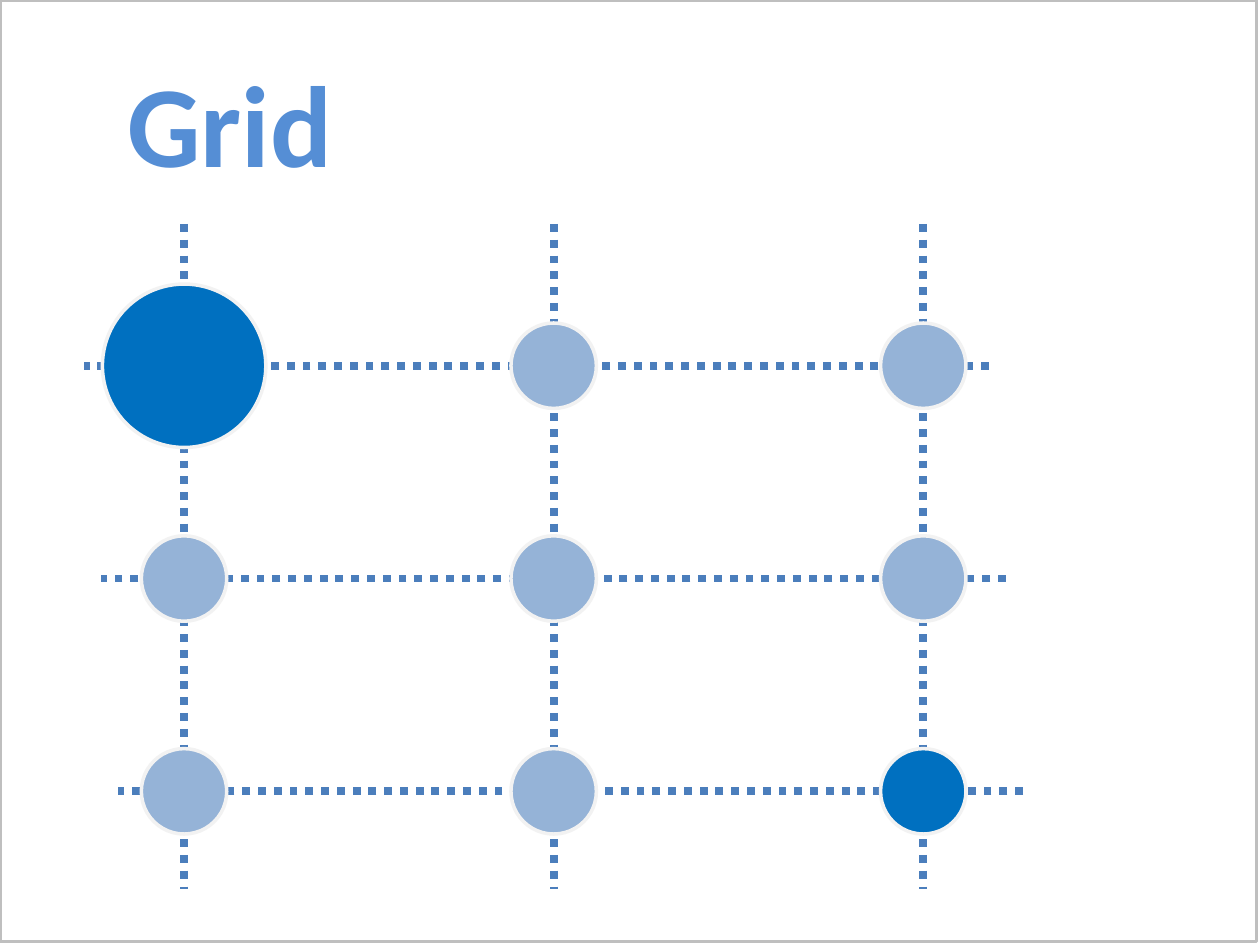
"""Build a slide with a dotted grid and a circle at every crossing."""
from pptx import Presentation
from pptx.dml.color import RGBColor
from pptx.enum.dml import MSO_LINE
from pptx.enum.shapes import MSO_CONNECTOR, MSO_SHAPE
from pptx.enum.text import MSO_ANCHOR, PP_ALIGN
from pptx.oxml.ns import qn
from pptx.util import Pt
from lxml.etree import SubElement

COLORS = {
    "title": "558ED5",
    "frame": "BFBFBF",
    "grid": "4B7EBC",
    "node": "95B3D7",
    "accent": "0070C0",
    "rim": "F2F2F2",
}


class Deck:
    def __init__(self, width, height):
        self.font = "Calibri"
        self.prs = Presentation()
        self.prs.slide_width = Pt(width)
        self.prs.slide_height = Pt(height)
        self.slide = self.prs.slides.add_slide(self.prs.slide_layouts[5])

    def color(self, name):
        return RGBColor.from_string(COLORS[name])

    def stroke(self, line, name, width):
        line.color.rgb = self.color(name)
        line.width = Pt(width)

    def title(self, text, left, top, width, height, size):
        box = self.slide.shapes.title
        box.left, box.top = Pt(left), Pt(top)
        box.width, box.height = Pt(width), Pt(height)
        box.text_frame.vertical_anchor = MSO_ANCHOR.MIDDLE
        para = box.text_frame.paragraphs[0]
        para.alignment = PP_ALIGN.LEFT
        run = para.add_run()
        run.text = text
        run.font.name = self.font
        run.font.size = Pt(size)
        run.font.bold = True
        run.font.color.rgb = self.color("title")

    def frame(self, width, height):
        shape = self.slide.shapes.add_shape(
            MSO_SHAPE.RECTANGLE, 0, 0, Pt(width), Pt(height))
        shape.shadow.inherit = False
        shape.fill.background()
        self.stroke(shape.line, "frame", 2)

    def dots(self, x1, y1, x2, y2):
        line = self.slide.shapes.add_connector(
            MSO_CONNECTOR.STRAIGHT, Pt(x1), Pt(y1), Pt(x2), Pt(y2))
        self.stroke(line.line, "grid", 4.5)
        line.line.dash_style = MSO_LINE.ROUND_DOT
        SubElement(line._element.spPr, qn("a:effectLst"))

    def node(self, x, y, size, fill):
        shape = self.slide.shapes.add_shape(
            MSO_SHAPE.FLOWCHART_CONNECTOR,
            Pt(x - size / 2), Pt(y - size / 2), Pt(size), Pt(size))
        shape.shadow.inherit = False
        shape.fill.solid()
        shape.fill.fore_color.rgb = self.color(fill)
        self.stroke(shape.line, "rim", 2)


def main():
    deck = Deck(720, 540)
    deck.frame(718, 538)
    deck.title("Grid", 65.5, 26, 590, 87, 66)

    cols = [105.2 + 211.2 * i for i in range(3)]
    rows = [209 + 121.6 * i for i in range(3)]
    for x in cols:
        deck.dots(x, 128, x, 508)
    for i, y in enumerate(rows):
        left = 48 + 9.8 * i
        deck.dots(left + 517, y, left, y)

    special = {(0, 0): (93.4, "accent"), (2, 2): (48.8, "accent")}
    for i, y in enumerate(rows):
        for j, x in enumerate(cols):
            size, fill = special.get((i, j), (48.8, "node"))
            deck.node(x, y, size, fill)

    deck.prs.save("out.pptx")


if __name__ == "__main__":
    main()
